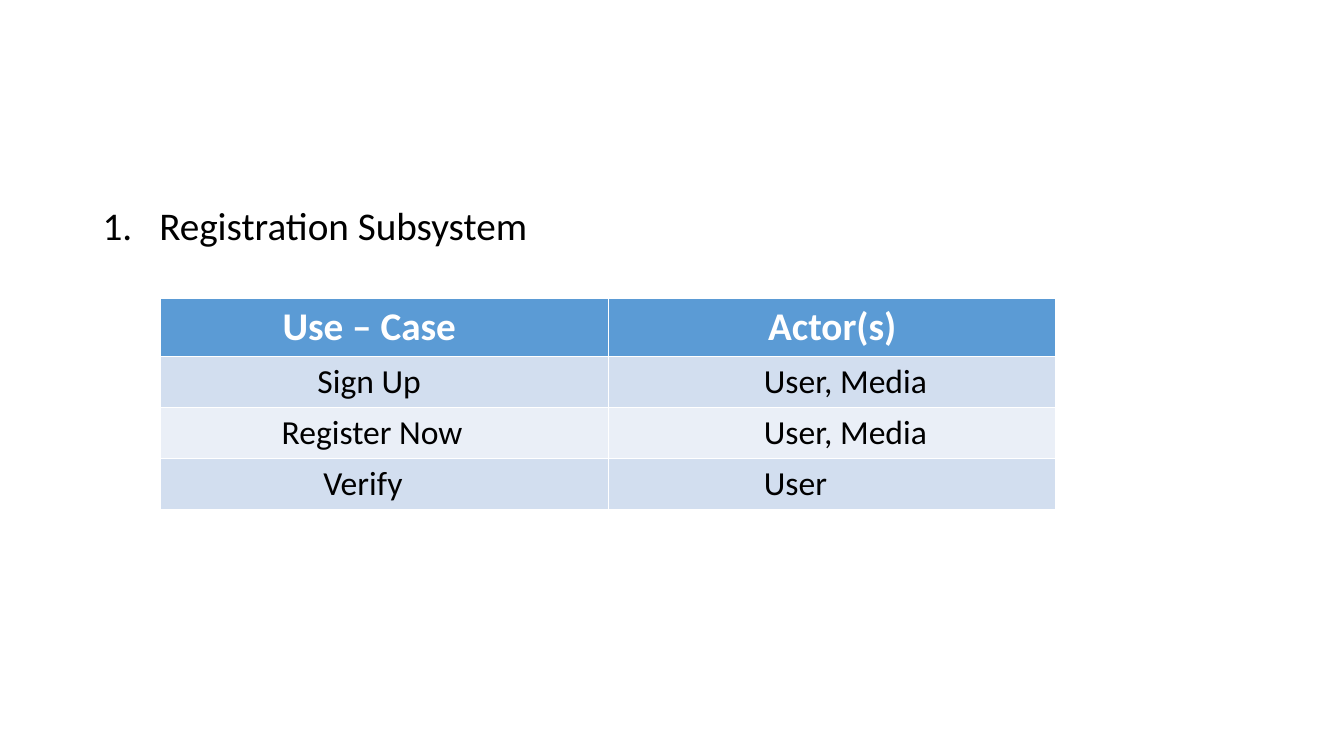
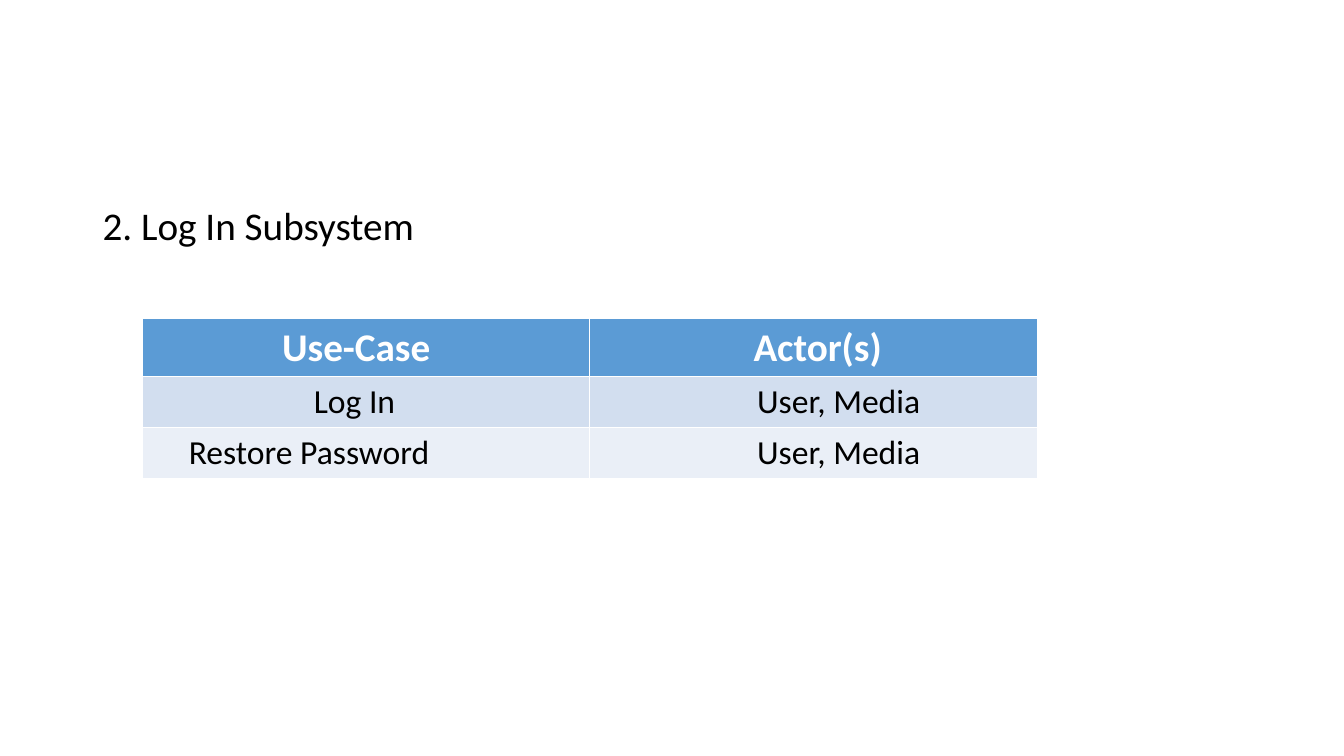
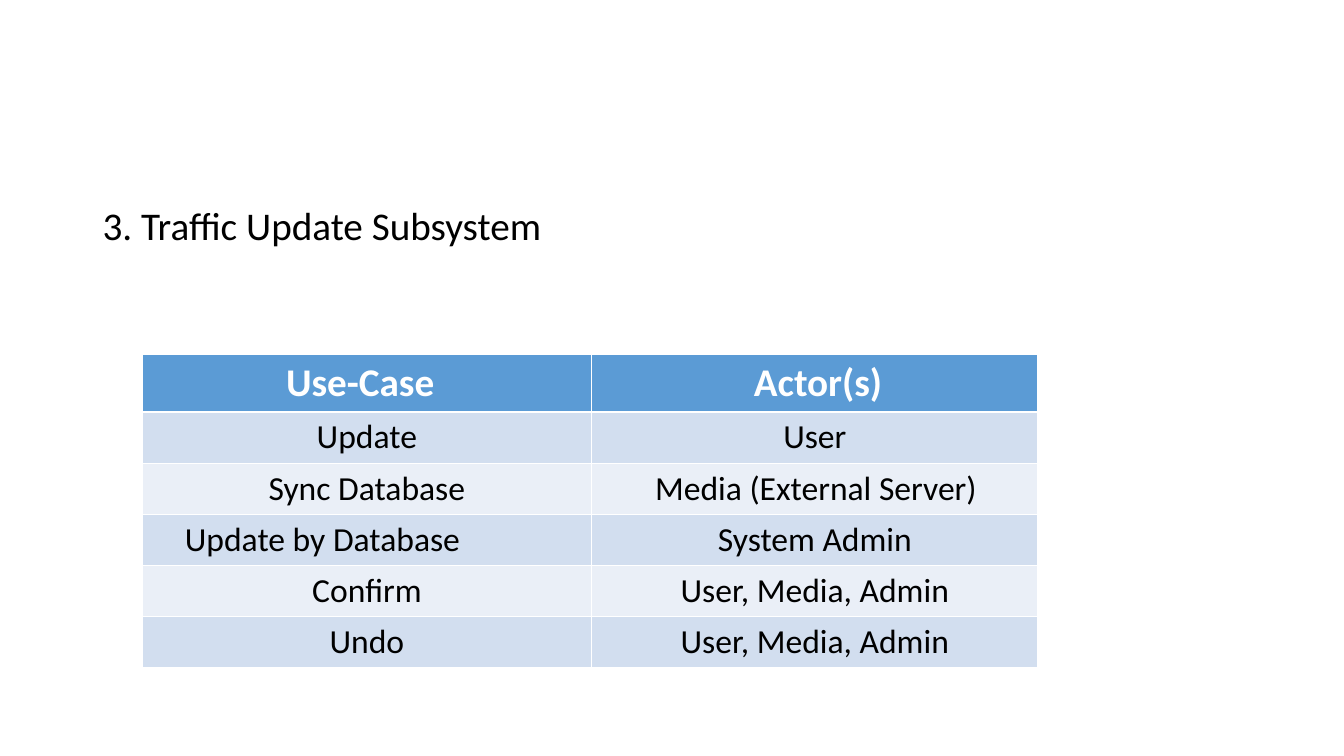
"""Build three slides listing the use cases and actors of each subsystem."""
from dataclasses import dataclass

from pptx import Presentation
from pptx.dml.color import RGBColor as RGB
from pptx.enum.text import MSO_ANCHOR as ANCHOR, MSO_AUTO_SIZE as FIT, PP_ALIGN as ALIGN
from pptx.oxml.xmlchemy import OxmlElement
from pptx.util import Cm, Pt


@dataclass(frozen=True)
class Theme:
    font: str = "Calibri"
    ink: RGB = RGB(0, 0, 0)
    white: RGB = RGB(255, 255, 255)
    header: RGB = RGB(0x5B, 0x9B, 0xD5)
    bands: tuple = (RGB(0xEA, 0xEF, 0xF7), RGB(0xD2, 0xDE, 0xEF))
    big: Pt = Pt(28)
    body: Pt = Pt(24)


T = Theme()
HEADER_H, ROW_H = Cm(1.46), Cm(1.29)


def style(p, size, color, bold=False):
    for r in p.runs:
        r.font.name = T.font
        r.font.size = size
        r.font.bold = bold
        r.font.color.rgb = color


# heading, numbered, table left, table top, column widths, rows of (text, indent or None if centred)
SLIDES = [
    ("Registration Subsystem", True, 4.05, 7.52, (11.28, 11.28), [
        (("Use – Case", 3.07), ("Actor(s)", 4.03)),
        (("Sign Up", 3.95), ("User, Media", 3.92)),
        (("Register Now", 3.05), ("User, Media", 3.92)),
        (("Verify", 4.1), ("User", 3.92)),
    ]),
    ("2. Log In Subsystem", False, 3.58, 8.03, (11.28, 11.28), [
        (("Use-Case", 3.53), ("Actor(s)", 4.13)),
        (("Log In", 4.33), ("User, Media", 4.22)),
        (("Restore Password", 1.18), ("User, Media", 4.22)),
    ]),
    ("3. Traffic Update Subsystem", False, 3.58, 8.92, (11.33, 11.25), [
        (("Use-Case", 3.63), ("Actor(s)", 4.09)),
        (("Update", None), ("User", None)),
        (("Sync Database", None), ("Media (External Server)", 1.6)),
        (("Update by Database", 1.08), ("System Admin", None)),
        (("Confirm", None), ("User, Media, Admin", None)),
        (("Undo", None), ("User, Media, Admin", None)),
    ]),
]

prs = Presentation()
prs.slide_width, prs.slide_height = Cm(33.87), Cm(19.05)

for heading, numbered, left, top, widths, rows in SLIDES:
    s = prs.slides.add_slide(prs.slide_layouts[5])
    title = s.shapes.title
    title.left, title.top, title.width, title.height = Cm(2.33), Cm(5.08), Cm(29.21), Cm(12.09)
    tf = title.text_frame
    tf.text = heading
    tf.word_wrap = True
    tf.auto_size = FIT.NONE
    tf.vertical_anchor = ANCHOR.TOP
    p = tf.paragraphs[0]
    p.alignment = ALIGN.LEFT
    p.line_spacing = 0.9
    p.space_before = Pt(10)
    style(p, T.big, T.ink)
    if numbered:
        pPr = p._p.get_or_add_pPr()
        pPr.set("marL", str(Cm(1.43)))
        pPr.set("indent", str(-Cm(1.43)))
        number = OxmlElement("a:buAutoNum")
        number.set("type", "arabicPeriod")
        pPr.append(number)

    height = HEADER_H + ROW_H * (len(rows) - 1)
    table = s.shapes.add_table(len(rows), len(widths), Cm(left), Cm(top), Cm(sum(widths)), height).table
    for column, width in zip(table.columns, widths):
        column.width = Cm(width)
    for i, row in enumerate(rows):
        is_header = i == 0
        table.rows[i].height = HEADER_H if is_header else ROW_H
        for j, (text, indent) in enumerate(row):
            cell = table.cell(i, j)
            cell.fill.solid()
            cell.fill.fore_color.rgb = T.header if is_header else T.bands[i % 2]
            p = cell.text_frame.paragraphs[0]
            p.text = text
            if indent is None:
                p.alignment = ALIGN.CENTER
            else:
                cell.margin_left = Cm(indent)
            style(p, T.big if is_header else T.body, T.white if is_header else T.ink, is_header)

prs.save("out.pptx")
